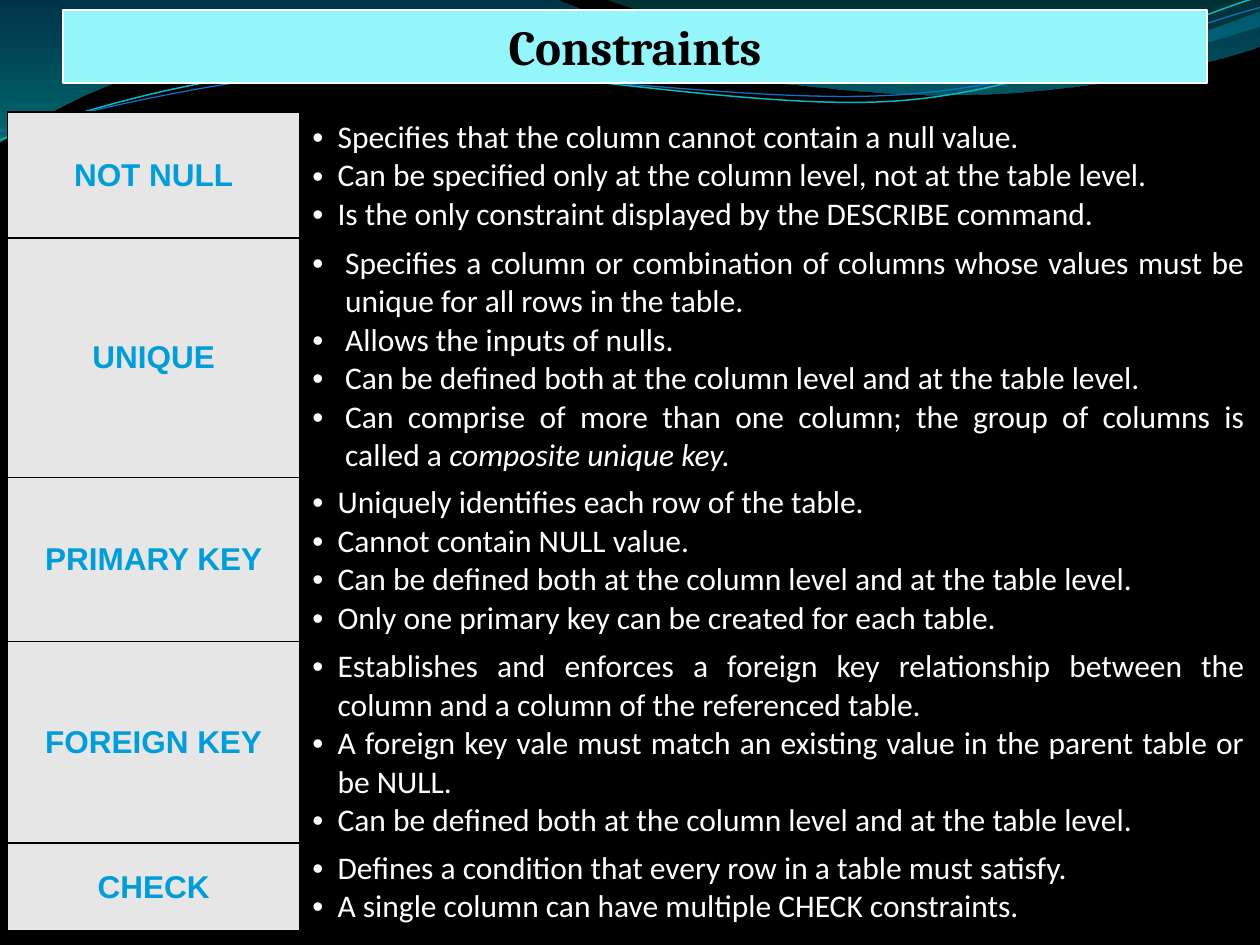
import math
import pptx
import pptx.util
import pptx.dml.color
import pptx.enum.shapes
import pptx.enum.text
import pptx.oxml
import pptx.oxml.ns
from dataclasses import dataclass
from lxml import etree

Inches = pptx.util.Inches
Pt = pptx.util.Pt
Align = pptx.enum.text.PP_ALIGN
Anchor = pptx.enum.text.MSO_ANCHOR
qualified = pptx.oxml.ns.qn


@dataclass(frozen=True)
class Theme:
    background: str = "000000"
    banner: str = "94F5FA"
    white: str = "FFFFFF"
    black: str = "000000"
    label: str = "009DD9"
    label_fill: str = "E6E6E6"
    title_size: int = 28
    body_size: int = 18


theme = Theme()
title = "Constraints"
both_levels = "Can be defined both at the column level and at the table level."
constraints = [
    ("NOT NULL", 1.0, 0.2, [
        "Specifies that the column cannot contain a null value.",
        "Can be specified only at the column level, not at the table level.",
        "Is the only constraint displayed by the DESCRIBE command."]),
    ("UNIQUE", 1.9, 0.26, [
        "Specifies a column or combination of columns whose values must be unique for all rows in the table.",
        "Allows the inputs of nulls.",
        both_levels,
        ("Can comprise of more than one column; the group of columns is called a ",
         "composite unique key.")]),
    ("PRIMARY KEY", 1.3, 0.2, [
        "Uniquely identifies each row of the table.",
        "Cannot contain NULL value.",
        both_levels,
        "Only one primary key can be created for each table."]),
    ("FOREIGN KEY", 1.6, 0.2, [
        "Establishes and enforces a foreign key relationship between the column and a column of the referenced table.",
        "A foreign key vale must match an existing value in the parent table or be NULL.",
        both_levels]),
    ("CHECK", 0.7, 0.2, [
        "Defines a condition that every row in a table must satisfy.",
        "A single column can have multiple CHECK constraints."]),
]
column_widths = (2.32, 7.6)

waves = [
    ([(0, 0), (4.4, -0.01),
      (4.76, 0.17, 6.64, 0.63, 7.58, 0.63), (8.53, 0.63, 9.58, 0.26, 10, 0.09),
      (10.01, 0.36),
      (9.83, 0.44, 8.7, 0.76, 7.46, 0.75), (6.22, 0.75, 3.82, 0.28, 2.57, 0.34),
      (1.29, 0.36, 0.46, 0.83, -0.01, 1.13), (0, 0)],
     [(0, "0074A1", 45), (1, "00C6CF", 55)]),
    ([(4.79, -0.01), (5.09, 0.11, 6.82, 0.62, 7.69, 0.65),
      (8.56, 0.69, 9.61, 0.32, 10, 0.21), (10, 0), (4.79, -0.01)],
     [(0, "00A1A9", 30), (0.8, "008BBF", 45)]),
]
strand_tilt = -2.7
strands = [
    ([(0, 1.11), (0.48, 0.93, 1.58, 0.57, 2.77, 0.52),
      (3.95, 0.47, 5.93, 0.89, 7.13, 0.8), (8.33, 0.71, 9.38, 0.15, 9.98, -0.02)],
     (4.99, 0.57), "0AB8BF", 0.85),
    ([(0, 1.04), (0.47, 0.96, 1.64, 0.61, 2.83, 0.56),
      (4.03, 0.51, 5.97, 0.84, 7.17, 0.75), (8.36, 0.67, 9.41, 0.21, 10, 0.06)],
     (5, 0.59), "0F6FC6", 0.75),
]


def rgb(value):
    return pptx.dml.color.RGBColor.from_string(value)


def paint(fill, color):
    fill.solid()
    fill.fore_color.rgb = rgb(color)


def write(paragraph, text, *, font, size, color, bold=False, italic=False, align=Align.CENTER):
    paragraph.alignment = align
    run = paragraph.add_run()
    run.text = text
    run.font.name = font
    run.font.size = Pt(size)
    run.font.bold = bold
    run.font.italic = italic
    run.font.color.rgb = rgb(color)


def set_bullet(paragraph, indent):
    properties = paragraph._p.get_or_add_pPr()
    properties.set("marL", str(Inches(indent)))
    properties.set("indent", str(-Inches(indent)))
    etree.SubElement(properties, qualified("a:buFont")).set("typeface", "Arial")
    etree.SubElement(properties, qualified("a:buChar")).set("char", "•")


def set_borders(cell, color, width):
    properties = cell._tc.get_or_add_tcPr()
    for position, side in enumerate(("lnL", "lnR", "lnT", "lnB")):
        properties.insert(position, pptx.oxml.parse_xml(
            f'<a:{side} {pptx.oxml.ns.nsdecls("a")} w="{Pt(width)}"><a:solidFill>'
            f'<a:srgbClr val="{color}"/></a:solidFill></a:{side}>'))


def turn(point, center, degrees):
    angle = math.radians(degrees)
    x, y = point[0] - center[0], point[1] - center[1]
    return (center[0] + x * math.cos(angle) - y * math.sin(angle),
            center[1] + x * math.sin(angle) + y * math.cos(angle))


def draw_curve(slide, steps, closed, center=(0, 0), tilt=0):
    points = [turn(step[index:index + 2], center, -tilt)
              for step in steps for index in range(0, len(step), 2)]
    points = [(Inches(x), Inches(y)) for x, y in points]
    builder = slide.shapes.build_freeform(*points[0], scale=1.0)
    builder.add_line_segments(points[1:], close=closed)
    shape = builder.convert_to_shape()
    shape.shadow.inherit = False
    shape.rotation = tilt % 360
    segments = iter(list(shape._element.iter(qualified("a:lnTo"))))
    for step in steps[1:]:
        first = next(segments)
        if len(step) == 6:
            curve = etree.Element(qualified("a:cubicBezTo"))
            first.addprevious(curve)
            for segment in (first, next(segments), next(segments)):
                curve.append(segment[0])
                segment.getparent().remove(segment)
    return shape


presentation = pptx.Presentation()
presentation.slide_width = Inches(10)
presentation.slide_height = Inches(7.5)
slide = presentation.slides.add_slide(presentation.slide_layouts[6])
paint(slide.background.fill, theme.background)

for steps, stops in waves:
    wave = draw_curve(slide, steps, True)
    wave.line.fill.background()
    wave.fill.gradient()
    wave.fill.gradient_angle = 270
    for stop, (position, color, opacity) in zip(wave.fill.gradient_stops, stops):
        stop.position = position
        stop.color.rgb = rgb(color)
        color_element = stop._gs.find(qualified("a:srgbClr"))
        etree.SubElement(color_element, qualified("a:alpha")).set("val", str(opacity * 1000))

for steps, center, color, width in strands:
    strand = draw_curve(slide, steps, False, center, strand_tilt)
    strand.fill.background()
    strand.line.color.rgb = rgb(color)
    strand.line.width = Pt(width)

banner = slide.shapes.add_shape(pptx.enum.shapes.MSO_SHAPE.RECTANGLE,
                                Inches(0.5), Inches(0.08), Inches(9.08), Inches(0.58))
banner.shadow.inherit = False
paint(banner.fill, theme.banner)
banner.line.color.rgb = rgb(theme.white)
banner.line.width = Pt(0.75)
banner.text_frame.word_wrap = True
banner.text_frame.vertical_anchor = Anchor.TOP
write(banner.text_frame.paragraphs[0], title, font="Cambria", size=theme.title_size,
      color=theme.black, bold=True)

table = slide.shapes.add_table(len(constraints), 2, Inches(0.06), Inches(0.89),
                               Inches(sum(column_widths)),
                               Inches(sum(row[1] for row in constraints))).table
table.first_row = False
table.horz_banding = False
for column, width in zip(table.columns, column_widths):
    column.width = Inches(width)

for row_index, (label, height, indent, points) in enumerate(constraints):
    table.rows[row_index].height = Inches(height)
    label_cell, detail_cell = table.rows[row_index].cells
    paint(label_cell.fill, theme.label_fill)
    detail_cell.fill.background()
    for cell, bottom in ((label_cell, 0.05), (detail_cell, 0.01)):
        cell.margin_top = Inches(0.05)
        cell.margin_bottom = Inches(bottom)
        set_borders(cell, theme.black, 1)
    label_cell.vertical_anchor = Anchor.MIDDLE
    write(label_cell.text_frame.paragraphs[0], label, font="Arial", size=theme.body_size,
          color=theme.label, bold=True)
    frame = detail_cell.text_frame
    for index, point in enumerate(points):
        paragraph = frame.add_paragraph() if index else frame.paragraphs[0]
        set_bullet(paragraph, indent)
        parts = (point,) if isinstance(point, str) else point
        for part_index, part in enumerate(parts):
            write(paragraph, part, font="Calibri", size=theme.body_size, color=theme.white,
                  italic=part_index > 0, align=Align.JUSTIFY)

presentation.save("out.pptx")
